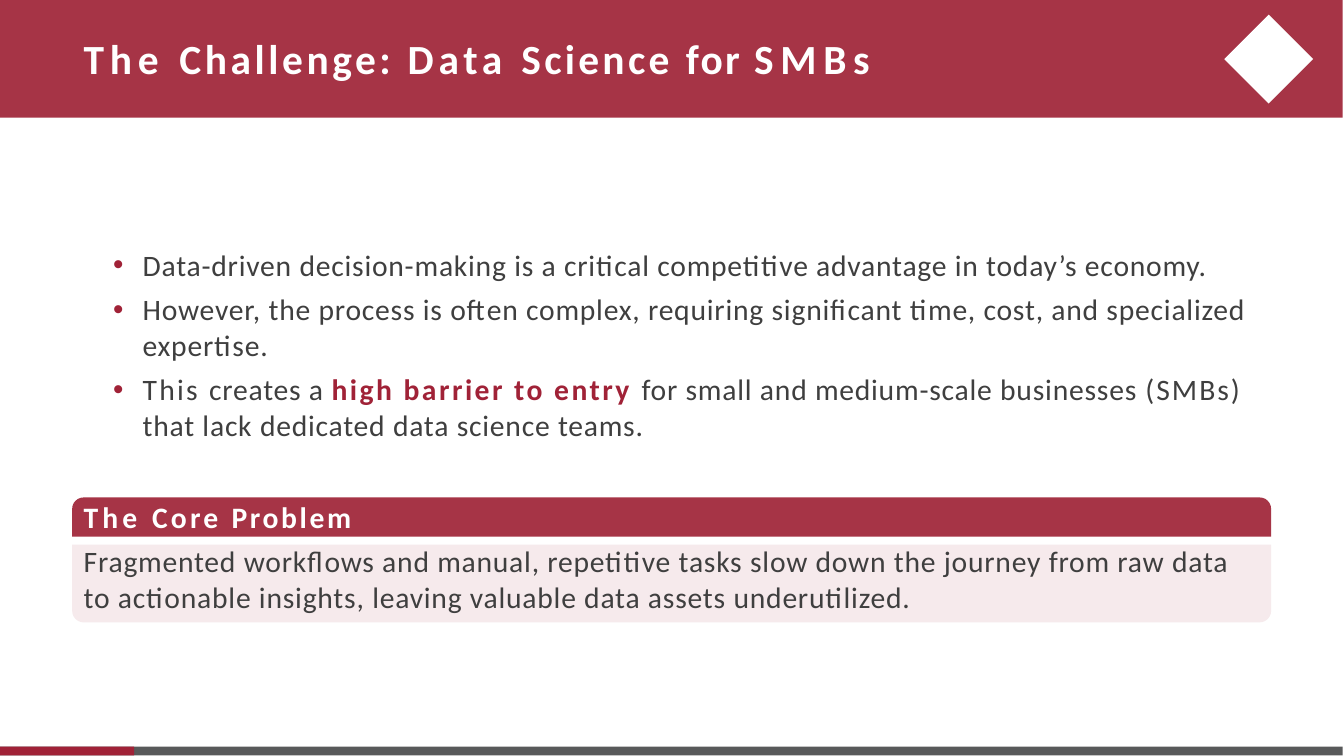
from pptx import Presentation
from pptx.dml.color import RGBColor
from pptx.enum.shapes import MSO_SHAPE as Kind
from pptx.enum.text import MSO_ANCHOR as Anchor, MSO_AUTO_SIZE as Fit, PP_ALIGN as Align
from pptx.oxml.ns import qn
from pptx.util import Pt
from lxml.etree import SubElement

FONT = "Calibri"
RED = RGBColor(0xA6, 0x34, 0x46)
DEEP = RGBColor(0xA0, 0x22, 0x37)
PINK = RGBColor(0xF6, 0xEA, 0xEC)
GREY = RGBColor(0x58, 0x59, 0x5A)
INK = RGBColor(0x3F, 0x3F, 0x3F)
WHITE = RGBColor(0xFF, 0xFF, 0xFF)

WIDE, HIGH = 454, 255.3
FULL = 453.6  # width of the bands
BODY = 0.28  # letter spacing of running text

# Each piece of text: words, letter spacing, bold, colour
TITLE = [
    ("The ", 1.9, True, WHITE), ("Challenge: ", 1.2, True, WHITE),
    ("Data ", 1.6, True, WHITE), ("Science ", 1.1, True, WHITE),
    ("for ", 0.8, True, WHITE), ("SMBs", 2.2, True, WHITE),
]
POINTS = [
    [("Data-driven decision-making is a critical competitive advantage "
      "in today’s economy.", BODY, False, INK)],
    [("However, the process is often complex, requiring significant time, "
      "cost, and specialized expertise.", BODY, False, INK)],
    [("This ", 0.8, False, INK), ("creates a ", BODY, False, INK),
     ("high barrier to entry ", 0.85, True, DEEP),
     ("for small and medium-scale businesses ", BODY, False, INK),
     ("(SMBs) ", 0.7, False, INK),
     ("that lack dedicated data science teams.", BODY, False, INK)],
]
CORE = [
    [("The ", 1.4, True, WHITE), ("Core ", 1.1, True, WHITE),
     ("Problem", 0.9, True, WHITE)],
    [("Fragmented workflows and manual, repetitive tasks slow down the "
      "journey from raw data to actionable insights, leaving valuable data "
      "assets underutilized.", BODY, False, INK)],
]


def add_block(slide, kind, left, top, width, height, color):
    block = slide.shapes.add_shape(kind, Pt(left), Pt(top), Pt(width), Pt(height))
    block.shadow.inherit = False
    block.fill.solid()
    block.fill.fore_color.rgb = color
    block.line.fill.background()
    return block


def place(shape, left, top, width, height):
    shape.left, shape.top = Pt(left), Pt(top)
    shape.width, shape.height = Pt(width), Pt(height)


def add_bullet(para):
    props = para._p.get_or_add_pPr()
    props.set("marL", str(Pt(10.6)))
    props.set("indent", str(-Pt(10)))
    color = SubElement(props, qn("a:buClr"))
    SubElement(color, qn("a:srgbClr")).set("val", str(DEEP))
    SubElement(props, qn("a:buChar")).set("char", "•")


def fill_text(shape, paras, size, bullet=False):
    frame = shape.text_frame
    frame.word_wrap = True
    frame.auto_size = Fit.NONE
    frame.vertical_anchor = Anchor.TOP
    frame.margin_left = frame.margin_right = 0
    frame.margin_top = frame.margin_bottom = 0
    for i, pieces in enumerate(paras):
        para = frame.paragraphs[0] if i == 0 else frame.add_paragraph()
        if bullet:
            add_bullet(para)
        para.alignment = Align.LEFT
        para.space_before = Pt(3 if i else 0)
        for words, space, bold, color in pieces:
            run = para.add_run()
            run.text = words
            font = run.font
            font.name, font.size, font.bold = FONT, Pt(size), bold
            font.color.rgb = color
            font._element.set("spc", str(round(space * 100)))


def main():
    deck = Presentation()
    deck.slide_width, deck.slide_height = Pt(WIDE), Pt(HIGH)
    slide = deck.slides.add_slide(deck.slide_layouts[1])
    title, body = slide.placeholders

    # Header band behind the title, with a plain emblem
    band = add_block(slide, Kind.RECTANGLE, 0, 0, FULL, 39.8, RED)
    title.element.addprevious(band.element)
    add_block(slide, Kind.DIAMOND, 413.6, 5, 30, 30, WHITE)
    place(title, 28.3, 11.3, 357, 19)
    fill_text(title, [TITLE], 14)

    # Bullet list
    place(body, 37.6, 83.3, 388, 67)
    fill_text(body, POINTS, 10, bullet=True)

    # Core problem panel
    top = Kind.ROUND_2_SAME_RECTANGLE
    head = add_block(slide, top, 24.4, 168, 405, 13.2, RED)
    head.adjustments[0] = 0.29
    base = add_block(slide, top, 24.4, 183.9, 405, 26.3, PINK)
    base.adjustments[0], base.adjustments[1] = 0, 0.15
    core = slide.shapes.add_textbox(Pt(28.3), Pt(168.3), Pt(389), Pt(40))
    fill_text(core, CORE, 10)

    # Progress bar at the foot
    for width, color in ((FULL, GREY), (FULL / 10, DEEP)):
        add_block(slide, Kind.RECTANGLE, 0, 252.1, width, 3, color)

    deck.save("out.pptx")


if __name__ == "__main__":
    main()
